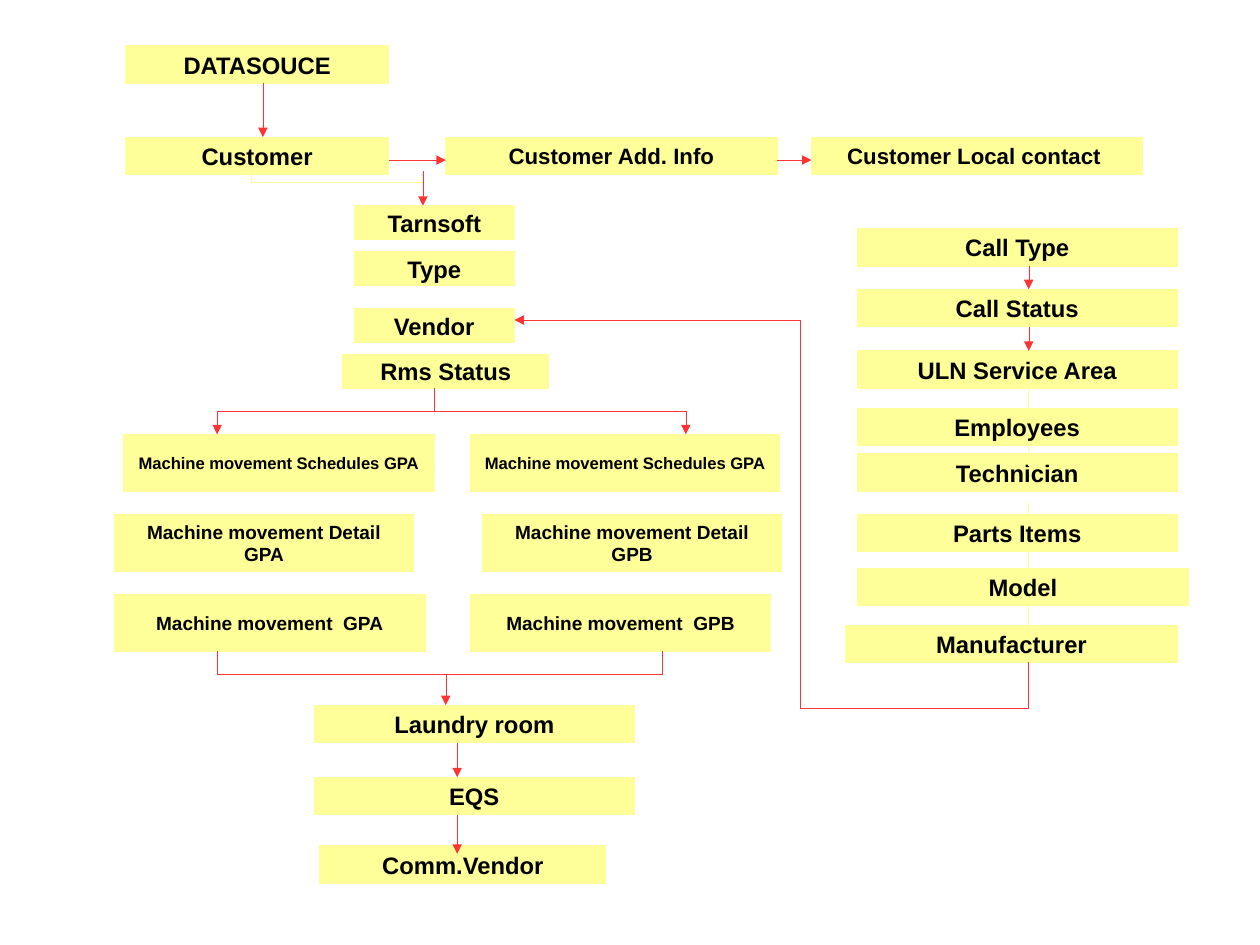
from lxml.etree import SubElement
from pptx import Presentation
from pptx.dml.color import RGBColor
from pptx.enum.shapes import MSO_CONNECTOR as Connector, MSO_SHAPE as Shape
from pptx.enum.text import MSO_ANCHOR as Anchor, PP_ALIGN as Align
from pptx.oxml.ns import qn
from pptx.util import Cm, Emu, Pt

EMU_PER_PX = 9144
YELLOW, RED, BLACK = "FFFF99", "FF3333", "000000"


def px(length):
    return Emu(length * EMU_PER_PX)


def color(hex_string):
    return RGBColor.from_string(hex_string)


class FlowSlide:
    """Draws the boxes and connecting lines of a flow chart on one slide."""

    font_name = "Arial"

    def __init__(self, presentation):
        self.slide = presentation.slides.add_slide(presentation.slide_layouts[6])

    def hairline(self, shape, line_color):
        shape.line.color.rgb = color(line_color)
        outline = shape.line._get_or_add_ln()
        outline.set("w", "0")
        return outline

    def box(self, text, left, top, width, height=33, size=15, inset=0):
        shape = self.slide.shapes.add_shape(
            Shape.RECTANGLE, px(left), px(top), px(width), px(height))
        shape.shadow.inherit = False
        shape.fill.solid()
        shape.fill.fore_color.rgb = color(YELLOW)
        self.hairline(shape, YELLOW)
        frame = shape.text_frame
        frame.word_wrap = True
        frame.vertical_anchor = Anchor.MIDDLE
        frame.margin_left = frame.margin_right = px(2 * inset)
        frame.margin_top = frame.margin_bottom = px(inset)
        paragraph = frame.paragraphs[0]
        paragraph.alignment = Align.CENTER
        run = paragraph.add_run()
        run.text = text
        run.font.name = self.font_name
        run.font.size = Pt(size)
        run.font.bold = True
        run.font.color.rgb = color(BLACK)

    def line(self, start_x, start_y, end_x, end_y, line_color=RED):
        connector = self.slide.shapes.add_connector(
            Connector.STRAIGHT, px(start_x), px(start_y), px(end_x), px(end_y))
        outline = self.hairline(connector, line_color)
        SubElement(connector._element.spPr, qn("a:effectLst"))
        return outline

    def arrow(self, start_x, start_y, end_x, end_y):
        outline = self.line(start_x, start_y, end_x, end_y)
        SubElement(outline, qn("a:tailEnd"), type="triangle")


def add_customer_row(flow):
    flow.box("DATASOUCE", 110, 40, 230)
    flow.box("Customer", 110, 120, 230)
    flow.box("Customer Add. Info", 390, 120, 290, size=14)
    flow.box("Customer Local contact ", 710, 120, 290, size=14)
    flow.arrow(230, 73, 230, 120)
    flow.arrow(340, 140, 390, 140)
    flow.arrow(680, 140, 710, 140)


def add_vendor_column(flow):
    for text, top in (("Tarnsoft", 180), ("Type", 220), ("Vendor", 270)):
        flow.box(text, 310, top, 140, 30)
    flow.box("Rms Status", 300, 310, 180, 30)
    flow.line(220, 160, 370, 160, YELLOW)
    flow.line(220, 160, 220, 153, YELLOW)
    flow.arrow(370, 150, 370, 180)


def add_machine_grid(flow):
    machine_boxes = (
        ("Machine movement Schedules GPA", 108, 380, 272, 10.5),
        ("Machine movement Schedules GPA", 412, 380, 270, 10.5),
        ("Machine movement Detail GPA", 100, 450, 262, 12),
        ("Machine movement Detail GPB", 422, 450, 262, 12),
        ("Machine movement  GPA", 100, 520, 272, 12),
        ("Machine movement  GPB", 412, 520, 262, 12),
    )
    for text, left, top, width, size in machine_boxes:
        flow.box(text, left, top, width, 50, size, inset=5)
    flow.line(380, 340, 380, 360)
    flow.line(190, 360, 600, 360)
    for branch_x in (190, 600):
        flow.arrow(branch_x, 360, branch_x, 380)
    flow.line(190, 590, 580, 590)
    for branch_x in (190, 580):
        flow.line(branch_x, 590, branch_x, 570)


def add_laundry_column(flow):
    flow.box("Laundry room", 275, 617, 280)
    flow.box("EQS", 275, 680, 280)
    flow.box("Comm.Vendor", 280, 740, 250)
    flow.arrow(390, 590, 390, 617)
    flow.arrow(400, 650, 400, 680)
    flow.arrow(400, 713, 400, 747)


def add_call_column(flow):
    call_boxes = (
        ("Call Type", 750, 200, 280),
        ("Call Status", 750, 253, 280),
        ("ULN Service Area", 750, 307, 280),
        ("Employees", 750, 357, 280),
        ("Technician", 750, 397, 280),
        ("Parts Items", 750, 450, 280),
        ("Model", 750, 497, 290),
        ("Manufacturer", 740, 547, 290),
    )
    for call_box in call_boxes:
        flow.box(*call_box)
    for top, bottom in ((233, 253), (286, 307)):
        flow.arrow(900, top, 900, bottom)
    for top, bottom in ((340, 357), (390, 407), (440, 450), (483, 497), (530, 547)):
        flow.line(900, top, 900, bottom, YELLOW)


def add_return_path(flow):
    flow.line(900, 580, 900, 620)
    flow.line(700, 620, 900, 620)
    flow.line(700, 280, 700, 620)
    flow.arrow(700, 280, 450, 280)


def main():
    presentation = Presentation()
    presentation.slide_width = Cm(28)
    presentation.slide_height = Cm(21)
    flow = FlowSlide(presentation)
    add_customer_row(flow)
    add_vendor_column(flow)
    add_machine_grid(flow)
    add_laundry_column(flow)
    add_call_column(flow)
    add_return_path(flow)
    presentation.save("out.pptx")


if __name__ == "__main__":
    main()
